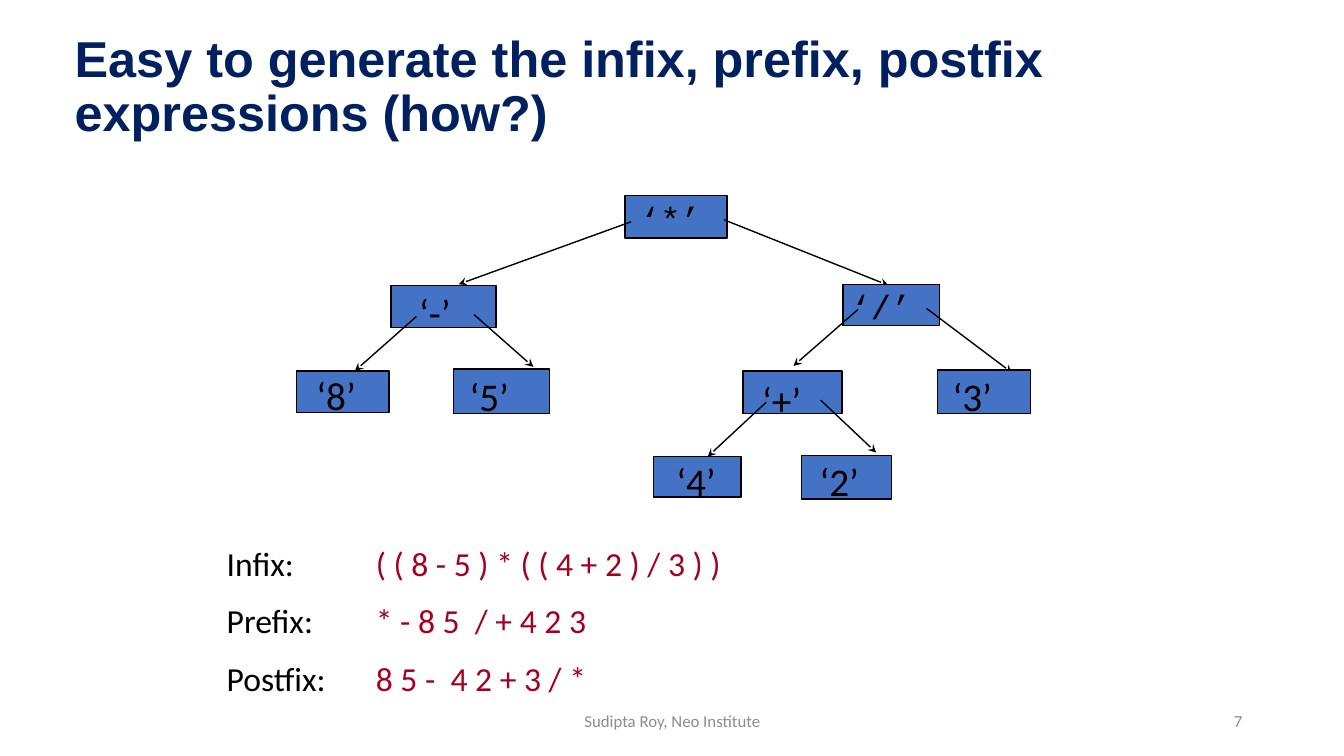
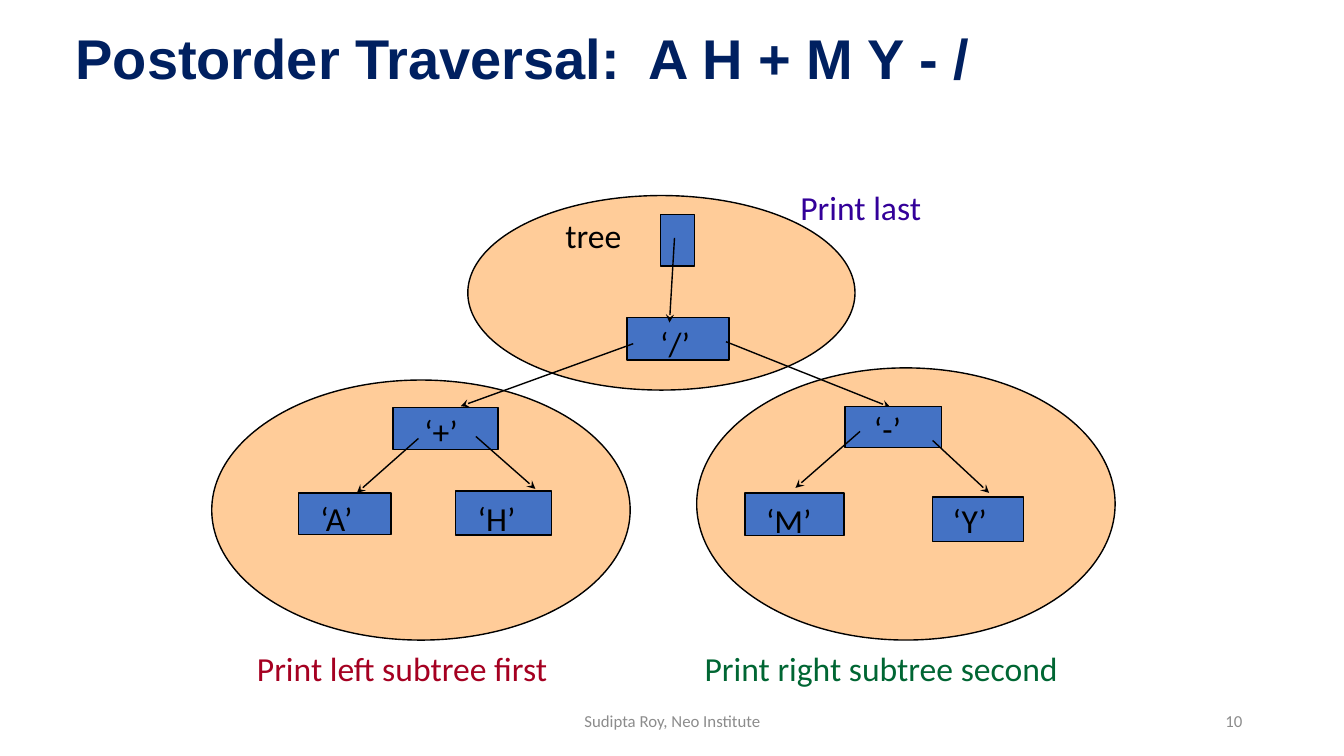
from dataclasses import dataclass

from lxml.etree import SubElement
from pptx import Presentation
from pptx.dml.color import RGBColor as Rgb
from pptx.enum.shapes import MSO_CONNECTOR as Line, MSO_SHAPE as Shape
from pptx.enum.text import MSO_ANCHOR as Anchor, MSO_AUTO_SIZE as Fit, PP_ALIGN as Align
from pptx.oxml.ns import qn
from pptx.util import Inches, Pt


@dataclass(frozen=True)
class Theme:
    navy: str = "002060"
    black: str = "000000"
    grey: str = "8C8C8C"
    blue: str = "4472C4"
    peach: str = "FFCC99"
    red: str = "A50021"
    green: str = "006633"
    violet: str = "330099"
    head: str = "Arial"
    body: str = "Calibri"
    mono: str = "Courier New"
    small: int = 12
    text: int = 24
    large: int = 28
    stroke: int = 1


THEME = Theme()
COLS, ROWS = 133.3, 75
CELL = 0.1  # inches per grid column and row

# Each slot of the tree: box (left, top, width, height), edge from the parent.
SLOTS = {
    "root": ((62, 19.4, 10.1, 4.2), None),
    "l": ((38.8, 28.3, 10.4, 4.2), (62.6, 22, 45.5, 28.2)),
    "ll": ((29.4, 36.8, 9.2, 4.1), (41.3, 31.4, 35.2, 36.8)),
    "lr": ((45, 36.6, 9.5, 4.4), (47, 31.2, 52.9, 36.4)),
    "r": ((83.6, 28.2, 9.6, 4.1), (71.8, 21.8, 88.1, 28.3)),
    "rl": ((73.7, 36.8, 9.8, 4.2), (85.1, 30.7, 78.7, 36.3)),
}
DEEP = SLOTS | {
    "rr": ((93, 36.7, 9.2, 4.3), (91.9, 30.6, 100.4, 37)),
    "rll": ((64.8, 45.3, 8.7, 4), (76, 39.9, 70.2, 45.3)),
    "rlr": ((79.5, 45.2, 8.9, 4.3), (81.4, 39.7, 86.9, 44.9)),
}
FLAT = SLOTS | {"rr": ((92.3, 37.2, 9, 4.4), (92.3, 31.6, 97.9, 36.8))}


def cells(*nums):
    return [Inches(round(n * CELL, 3)) for n in nums]


def tall(size):
    """Rows that one line of text takes, with its insets."""
    return size * 1.22 / 7.2 + 1


class Deck:
    def __init__(self, theme):
        self.theme = theme
        self.prs = Presentation()
        self.prs.slide_width, self.prs.slide_height = cells(COLS, ROWS)
        self.slide = None

    def start(self, title, box, size, num):
        t = self.theme
        self.slide = self.prs.slides.add_slide(self.prs.slide_layouts[5])
        head = self.slide.shapes.title
        head.left, head.top, head.width, head.height = cells(*box)
        frame = head.text_frame
        frame.text = title
        frame.word_wrap, frame.auto_size = True, Fit.NONE
        frame.vertical_anchor = Anchor.MIDDLE
        para = frame.paragraphs[0]
        para.alignment, para.line_spacing = Align.LEFT, 0.9
        self.style(para.runs[0], t.navy, size, t.head, True)
        for words, left, wide, align in (
            ("Sudipta Roy, Neo Institute", 44.2, 45, Align.CENTER),
            (num, 94.2, 30, Align.RIGHT),
        ):
            foot = self.text(words, left, 69.5, wide, t.grey, t.small)
            foot.height = cells(4)[0]
            foot.text_frame.vertical_anchor = Anchor.MIDDLE
            foot.text_frame.paragraphs[0].alignment = align

    def style(self, run, color, size, font=None, bold=False):
        run.font.name = font or self.theme.body
        run.font.size, run.font.bold = Pt(size), bold
        run.font.color.rgb = Rgb.from_string(color)

    def text(self, words, left, top, wide, color=None, size=None, font=None):
        t = self.theme
        size = size or t.text
        box = self.slide.shapes.add_textbox(*cells(left, top, wide, tall(size)))
        frame = box.text_frame
        frame.word_wrap = True
        frame.text = words
        self.style(frame.paragraphs[0].runs[0], color or t.black, size, font)
        return box

    def pairs(self, rows, box, stop, gap):
        """Lines of a black label and a red value that starts at a tab stop."""
        t = self.theme
        frame = self.slide.shapes.add_textbox(*cells(*box)).text_frame
        frame.word_wrap = True
        for i, (label, value) in enumerate(rows):
            para = frame.add_paragraph() if i else frame.paragraphs[0]
            para.text = label
            para.add_run().text = "\t" + value
            para.space_before = Pt(gap if i else 0)
            for run, color in zip(para.runs, (t.black, t.red)):
                self.style(run, color, t.text)
            tabs = SubElement(para._p.get_or_add_pPr(), qn("a:tabLst"))
            SubElement(tabs, qn("a:tab"), pos=str(cells(stop)[0]), algn="l")

    def shape(self, kind, box, fill):
        item = self.slide.shapes.add_shape(kind, *cells(*box))
        item.shadow.inherit = False
        item.fill.solid()
        item.fill.fore_color.rgb = Rgb.from_string(fill)
        item.line.color.rgb = Rgb.from_string(self.theme.black)
        item.line.width = Pt(self.theme.stroke)

    def block(self, box):
        self.shape(Shape.RECTANGLE, box, self.theme.blue)

    def oval(self, box):
        self.shape(Shape.OVAL, box, self.theme.peach)

    def arrow(self, ends):
        item = self.slide.shapes.add_connector(Line.STRAIGHT, *cells(*ends))
        item.line.color.rgb = Rgb.from_string(self.theme.black)
        item.line.width = Pt(self.theme.stroke)
        props = item.element.find(qn("p:spPr"))
        SubElement(props.find(qn("a:ln")), qn("a:tailEnd"), type="stealth")
        SubElement(props, qn("a:effectLst"))

    def tree(self, slots, labels, size, mono=(), dx=0, dy=0):
        """Draw edges and nodes; labels give text and offset from the node."""
        t = self.theme
        for name, (word, right, down) in labels.items():
            (x, y, w, h), edge = slots[name]
            if edge:
                x1, y1, x2, y2 = edge
                self.arrow((x1 + dx, y1 + dy, x2 + dx, y2 + dy))
            self.block((x + dx, y + dy, w, h))
            coded = name in mono
            self.text(
                f"‘{word}’", x + dx + right, y + dy + down,
                8.5 if coded else 7,
                size=t.text if coded else size,
                font=t.mono if coded else t.body,
            )


def infix(deck):
    deck.start("Easy to generate the infix, prefix, postfix expressions (how?)",
               (6.4, 2.5, 120.5, 12.5), 36, "7")
    deck.pairs(
        (
            ("Infix:", "( ( 8 - 5 ) * ( ( 4 + 2 ) / 3 ) )"),
            ("Prefix:", "* - 8 5  / + 4 2 3"),
            ("Postfix:", "8 5 -  4 2 + 3 / *"),
        ),
        (21.5, 53.4, 54, 16.5), 14.8, 12,
    )
    labels = {
        "root": ("*", 0.5, -0.3), "l": ("-", 1.8, -0.2),
        "ll": ("8", 1, -0.5), "lr": ("5", 0.6, -0.2),
        "r": ("/", -0.2, -0.3), "rl": ("+", 0.9, 0),
        "rr": ("3", 0.5, -0.3), "rll": ("4", 1.3, -0.4),
        "rlr": ("2", 0.8, -0.3),
    }
    deck.tree(DEEP, labels, THEME.large, mono=("root", "r"))


def post(deck):
    deck.start("Postorder Traversal:  A H + M Y - /",
               (6.5, -0.2, 93.1, 12.5), 40, "10")
    for box in ((69.1, 36.5, 41.5, 27), (46.4, 19.4, 38.4, 19.3),
                (21, 37.7, 41.5, 25.8)):
        deck.oval(box)
    labels = {
        "root": ("/", 2.3, 0), "l": ("+", 2.1, -0.1),
        "ll": ("A", 1.2, 0), "lr": ("H", 1.2, 0.2),
        "r": ("-", 1.9, -0.3), "rl": ("M", 1.1, 0.2),
        "rr": ("Y", 1, -0.2),
    }
    deck.tree(FLAT, labels, THEME.text, dx=0.2, dy=12.1)
    deck.block((65.5, 21.3, 3.4, 5.1))
    deck.arrow((66.9, 23.6, 66.4, 32))
    for words, left, top, wide, color in (
        ("tree", 55.1, 20.8, 8.2, THEME.black),
        ("Print left subtree first", 24.5, 63.8, 32, THEME.red),
        ("Print right subtree second", 68.9, 63.8, 38, THEME.green),
        ("Print last", 78.4, 18.1, 15, THEME.violet),
    ):
        deck.text(words, left, top, wide, color)


def main():
    deck = Deck(THEME)
    infix(deck)
    post(deck)
    deck.prs.save("out.pptx")


if __name__ == "__main__":
    main()
